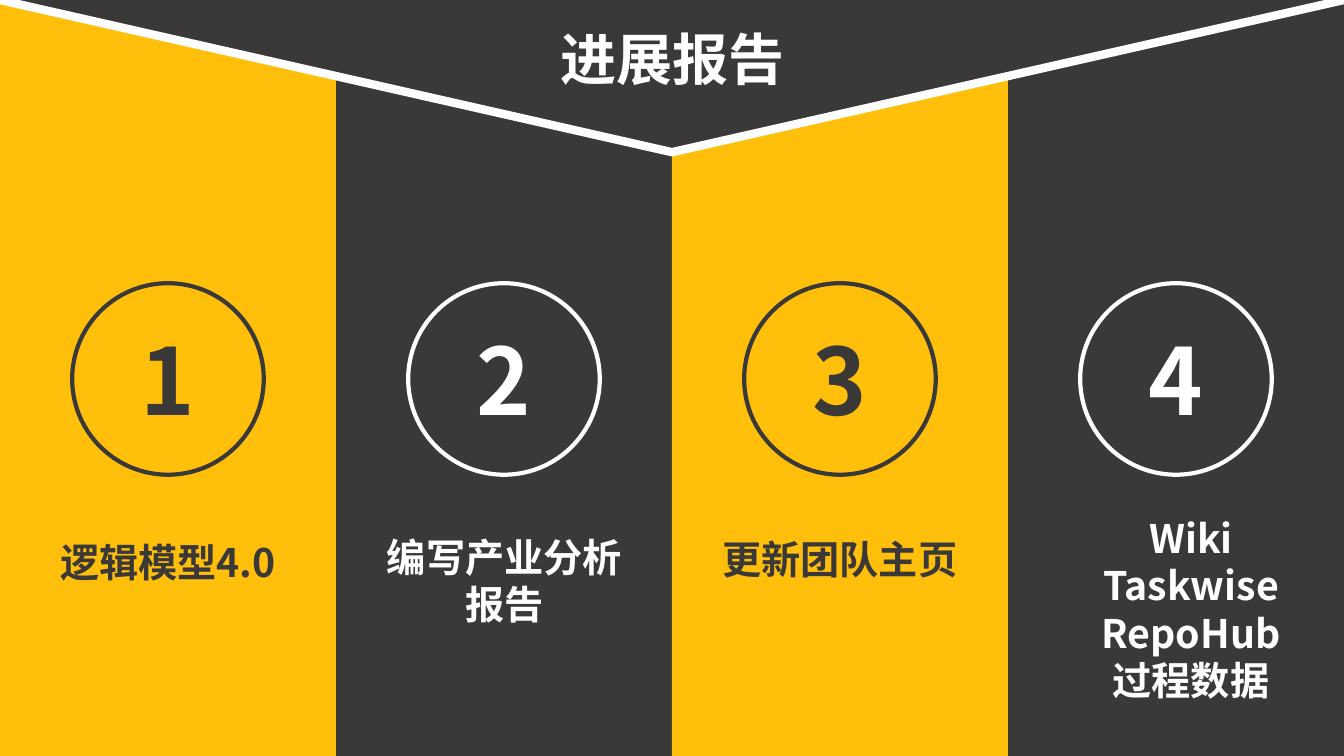
from lxml import etree
from pptx import Presentation
from pptx.dml.color import RGBColor
from pptx.enum.shapes import MSO_SHAPE
from pptx.enum.text import MSO_ANCHOR, PP_ALIGN
from pptx.oxml.ns import qn
from pptx.util import Inches, Pt

RECTANGLE, OVAL = MSO_SHAPE.RECTANGLE, MSO_SHAPE.OVAL
TOP, MIDDLE, CENTER = MSO_ANCHOR.TOP, MSO_ANCHOR.MIDDLE, PP_ALIGN.CENTER
YELLOW = RGBColor(0xFF, 0xBF, 0x0B)
DARK = RGBColor(0x3B, 0x38, 0x38)
WHITE = RGBColor(0xFF, 0xFF, 0xFF)
FONT = "Noto Sans CJK SC"

TITLE = "进展报告"
# (lines, left offset in column, top, width) in inches
ITEMS = [
    (["逻辑模型4.0"], 0.35, 5.18, 2.63),
    (["编写产业分析报告"], 0.22, 5.37, 2.9),
    (["更新团队主页"], 0.35, 5.15, 2.63),
    (["Wiki", "Taskwise", "RepoHub", "过程数据"], 0.5, 5.65, 2.63),
]
SCHEMES = [(YELLOW, DARK), (DARK, WHITE)]

WIDTH, HEIGHT = 13.33, 7.5
COLUMN = WIDTH / len(ITEMS)
CIRCLE, CIRCLE_TOP = 1.9, 2.81
LABEL_HEIGHT = 0.78
BANNER_WIDTH, BANNER_TOP, BANNER_HEIGHT = 14.74, -0.16, 1.67


def box(left, top, width, height):
    return [Inches(length) for length in (left, top, width, height)]


def write(holder, lines, size, color, anchor=MIDDLE):
    frame = holder.text_frame
    frame.word_wrap = True
    frame.vertical_anchor = anchor
    frame.text = "\n".join(lines)
    for paragraph in frame.paragraphs:
        paragraph.alignment = CENTER
        paragraph.line_spacing = 1.0
        paragraph.space_before = Pt(0)
        font = paragraph.font
        font.name, font.size, font.bold = FONT, Pt(size), True
        font.color.rgb = color
        for run in paragraph.runs:
            properties = run._r.get_or_add_rPr()
            etree.SubElement(properties, qn("a:ea")).set("typeface", FONT)


def draw(shapes, preset, place, fill=None, line=None, weight=0):
    shape = shapes.add_shape(preset, *place)
    shape.shadow.inherit = False
    if fill is None:
        shape.fill.background()
    else:
        shape.fill.solid()
        shape.fill.fore_color.rgb = fill
    if line is None:
        shape.line.fill.background()
    else:
        shape.line.color.rgb = line
        shape.line.width = Pt(weight)
    return shape


def draw_banner(shapes):
    left = (WIDTH - BANNER_WIDTH) / 2
    right, bottom = left + BANNER_WIDTH, BANNER_TOP + BANNER_HEIGHT
    builder = shapes.build_freeform(Inches(left), Inches(BANNER_TOP))
    builder.add_line_segments([
        (Inches(right), Inches(BANNER_TOP)),
        (Inches(WIDTH / 2), Inches(bottom)),
    ], close=True)
    banner = builder.convert_to_shape()
    banner.shadow.inherit = False
    banner.fill.solid()
    banner.fill.fore_color.rgb = DARK
    banner.line.color.rgb = WHITE
    banner.line.width = Pt(6)


def main():
    deck = Presentation()
    deck.slide_width, deck.slide_height = Inches(WIDTH), Inches(HEIGHT)
    slide = deck.slides.add_slide(deck.slide_layouts[5])
    shapes = slide.shapes

    for index in range(len(ITEMS)):
        fill = SCHEMES[index % 2][0]
        draw(shapes, RECTANGLE, box(index * COLUMN, 0, COLUMN, HEIGHT), fill)
    draw_banner(shapes)

    for index, (lines, offset, top, width) in enumerate(ITEMS):
        ink = SCHEMES[index % 2][1]
        left = index * COLUMN
        place = box(left + (COLUMN - CIRCLE) / 2, CIRCLE_TOP, CIRCLE, CIRCLE)
        write(draw(shapes, OVAL, place, line=ink, weight=3), [str(index + 1)], 66, ink)
        label = shapes.add_textbox(*box(left + offset, top, width, LABEL_HEIGHT))
        write(label, lines, 28, ink)

    title = shapes.title
    title.left, title.top, title.width, title.height = box(5.16, 0.19, 3.02, 0.77)
    write(title, [TITLE], 40, WHITE, TOP)
    shapes._spTree.append(title._element)

    deck.save("out.pptx")


if __name__ == "__main__":
    main()
